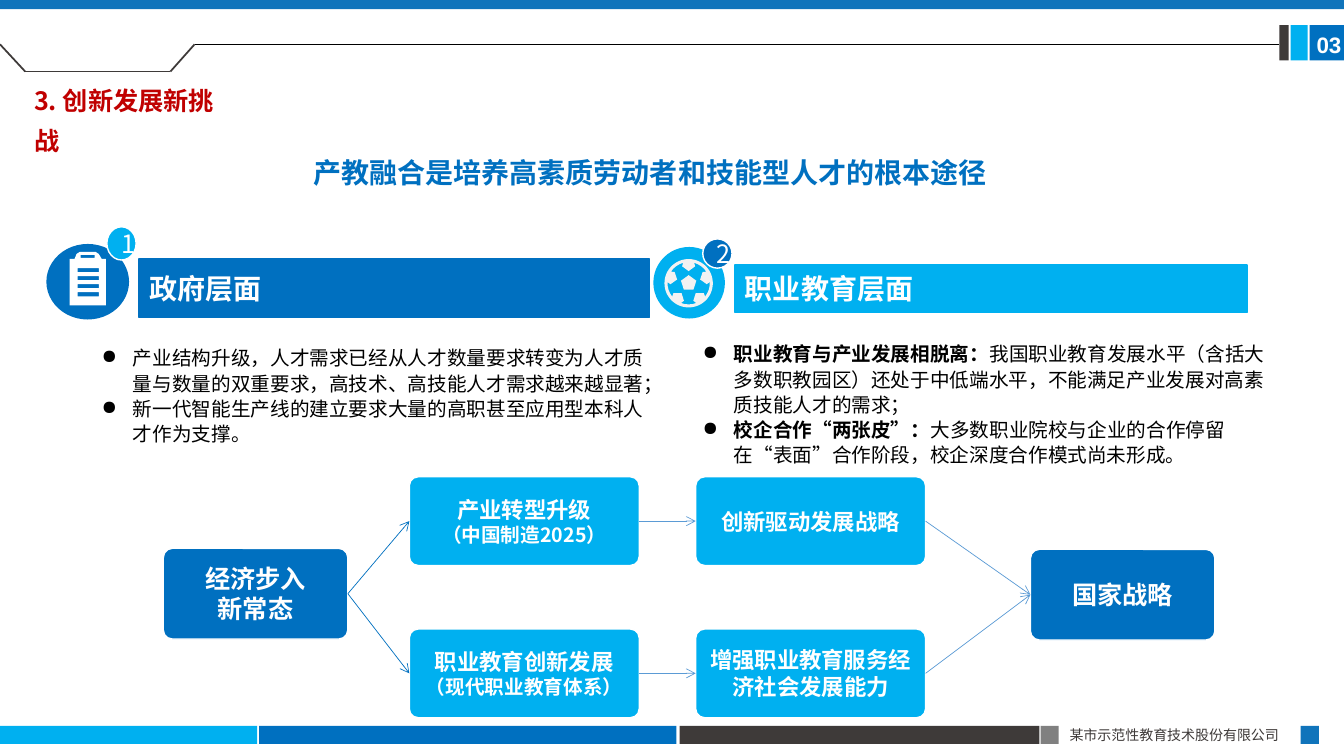
from math import cos, radians, sin

from lxml import etree
from pptx import Presentation
from pptx.dml.color import RGBColor
from pptx.enum.lang import MSO_LANGUAGE_ID
from pptx.enum.shapes import MSO_CONNECTOR, MSO_SHAPE
from pptx.enum.text import MSO_ANCHOR, PP_ALIGN
from pptx.oxml.ns import qn
from pptx.util import Inches, Pt

RECT, OVAL, ROUND = MSO_SHAPE.RECTANGLE, MSO_SHAPE.OVAL, MSO_SHAPE.ROUNDED_RECTANGLE
LEFT, CENTER, JUST = PP_ALIGN.LEFT, PP_ALIGN.CENTER, PP_ALIGN.JUSTIFY
TOP, MIDDLE = MSO_ANCHOR.TOP, MSO_ANCHOR.MIDDLE
CHINESE = MSO_LANGUAGE_ID.SIMPLIFIED_CHINESE
SANS = "Noto Sans CJK SC"
HEX = {"blue": "0070C0", "sky": "00B0F0", "bar": "1074BB", "dark": "3E3A39",
       "gray": "808080", "white": "FFFFFF", "black": "000000", "red": "C00000",
       "pale": "F2F2F2", "arrow": "5B9BD5"}

# Plain bars: left, top, width, height, fill
BARS = [
    (0, 7.2, 2.55, 0.18, "sky"), (2.57, 7.2, 4.14, 0.18, "blue"),
    (6.74, 7.2, 3.57, 0.18, "dark"), (10.32, 7.2, 0.18, 0.18, "gray"),
    (12.9, 7.2, 0.18, 0.18, "bar"), (12.99, 0.25, 0.35, 0.35, "blue"),
    (12.8, 0.25, 0.17, 0.35, "sky"), (12.69, 0.25, 0.09, 0.35, "dark"),
    (0, 0, 13.33, 0.09, "bar"),
]
NOTCH = [(0, 0.44), (0.25, 0.71), (1.69, 0.71), (1.93, 0.44)]

# Text runs are (text, size, bold); a paragraph is a list of runs
# Labels: box, paragraphs, colour, font, alignment, line spacing, wrap
LABELS = [
    ((10.51, 7.16, 2.4, 0.27), [[("某市示范性教育技术股份有限公司", 10, False)]],
     "dark", SANS, JUST, None, True),
    ((12.96, 0.26, 0.5, 0.37), [[("03", 16, True)]],
     "white", "Arial", LEFT, None, True),
    ((0.24, 0.71, 2.2, 0.49), [[("3. 创新发展新挑战", 18, True)]],
     "red", SANS, LEFT, 1.3, True),
    ((3.01, 1.49, 6.93, 0.44),
     [[("产教融合是培养高素质劳动者和技能型人才的根本途径", 20, True)]],
     "blue", SANS, LEFT, None, False),
]
BULLETS = [
    ((0.91, 3.37, 5.62, 1.11), [
        [("产业结构升级，人才需求已经从人才数量要求转变为人才质量与数量的双重要求，"
          "高技术、高技能人才需求越来越显著；", 14, False)],
        [("新一代智能生产线的建立要求大量的高职甚至应用型本科人才作为支撑。", 14, False)]]),
    ((6.87, 3.33, 5.82, 1.36), [
        [("职业教育与产业发展相脱离：", 14, True),
         ("我国职业教育发展水平（含括大多数职教园区）还处于中低端水平，"
          "不能满足产业发展对高素质技能人才的需求；", 14, False)],
        [("校企合作“两张皮”：", 14, True),
         ("大多数职业院校与企业的合作停留在“表面”合作阶段，"
          "校企深度合作模式尚未形成。", 14, False)]]),
]
# Headers: title, banner box, disc box, number, badge box, main fill, badge fill
HEADERS = [
    ("政府层面", (1.38, 2.57, 5.06, 0.58), (0.46, 2.42, 0.82, 0.75),
     "1", (1.06, 2.25, 0.29, 0.33), "blue", "sky"),
    ("职业教育层面", (7.29, 2.63, 5.08, 0.47), (6.48, 2.45, 0.71, 0.71),
     "2", (6.97, 2.37, 0.29, 0.29), "sky", "blue"),
]
BOARD = [(0.69, 2.57), (0.74, 2.57), (0.76, 2.52), (0.79, 2.5), (0.95, 2.5),
         (0.98, 2.52), (1.01, 2.57), (1.05, 2.57), (1.05, 3.03), (0.69, 3.03)]
SLOTS = [(0.8, 2.53, 0.14, 0.03)] + [(0.77, 2.66 + 0.08 * i, 0.21, 0.04) for i in range(4)]
BALL = (6.83, 2.81)
# One fifth of the ball's inner edge: angle, radius
SEAM = [(-15, 0.21), (-21, 0.18), (0, 0.12), (21, 0.18), (15, 0.21),
        (25, 0.21), (36, 0.21), (47, 0.21)]

BIG, MID = (1.83, 0.9), (2.28, 0.88)
NODES = {
    "start": ((1.62, 5.44), BIG, "blue",
              [[("经济步入", 18, True)], [("新常态", 18, True)]]),
    "shift": ((4.06, 4.73), MID, "sky",
              [[("产业转型升级", 16, True)], [("（中国制造2025）", 14, True)]]),
    "teach": ((4.06, 6.24), MID, "sky",
              [[("职业教育创新发展", 16, True), ("（现代职业教育体系）", 14, True)]]),
    "drive": ((6.9, 4.73), MID, "sky", [[("创新驱动发展战略", 16, True)]]),
    "serve": ((6.9, 6.24), MID, "sky", [[("增强职业教育服务经济社会发展能力", 16, True)]]),
    "goal": ((10.22, 5.45), BIG, "blue", [[("国家战略", 18, True)]]),
}
LINKS = [("start", "shift", "blue"), ("start", "teach", "blue"),
         ("shift", "drive", "arrow"), ("teach", "serve", "arrow"),
         ("drive", "goal", "arrow"), ("serve", "goal", "arrow")]

deck = Presentation()
deck.slide_width, deck.slide_height = Inches(13.33), Inches(7.5)
slide = deck.slides.add_slide(deck.slide_layouts[6])
shapes = slide.shapes


def tint(name):
    return RGBColor.from_string(HEX[name])


def paint(shape, fill, edge=None):
    shape.shadow.inherit = False
    shape.fill.solid()
    shape.fill.fore_color.rgb = tint(fill)
    if edge:
        shape.line.color.rgb = tint(edge)
        shape.line.width = Pt(1)
    else:
        shape.line.fill.background()


def block(kind, box, fill, edge=None):
    shape = shapes.add_shape(kind, *map(Inches, box))
    paint(shape, fill, edge)
    return shape


def write(shape, paras, color, font=SANS, align=LEFT, anchor=MIDDLE,
          space=None, wrap=True, bullet=False):
    frame = shape.text_frame
    frame.word_wrap, frame.vertical_anchor = wrap, anchor
    for i, runs in enumerate(paras):
        para = frame.add_paragraph() if i else frame.paragraphs[0]
        para.alignment = align
        if space:
            para.line_spacing = space
        if bullet:
            props = para._p.get_or_add_pPr()
            props.set("marL", str(Inches(0.31)))
            props.set("indent", str(-Inches(0.31)))
            etree.SubElement(props, qn("a:buChar")).set("char", "●")
        for text, size, bold in runs:
            run = para.add_run()
            run.text = text
            look = run.font
            look.size, look.bold, look.name = Pt(size), bold, font
            look.color.rgb = tint(color)
            look.language_id = CHINESE
            east = etree.SubElement(run._r.get_or_add_rPr(), qn("a:ea"))
            east.set("typeface", font)


def label(box, *args, **more):
    write(shapes.add_textbox(*map(Inches, box)), *args, anchor=TOP, **more)


def line(start, end, color, width):
    link = shapes.add_connector(MSO_CONNECTOR.STRAIGHT, *map(Inches, start + end))
    link.line.color.rgb = tint(color)
    link.line.width = Pt(width)
    etree.SubElement(link._element.spPr, qn("a:effectLst"))
    return link


def outline(loops, fill):
    """Draw closed loops as one shape; inner loops are holes."""
    loops = [[(Inches(x), Inches(y)) for x, y in loop] for loop in loops]
    pen = shapes.build_freeform(*loops[0][0])
    for i, loop in enumerate(loops):
        if i:
            pen.move_to(*loop[0])
        pen.add_line_segments(loop[1:], close=True)
    paint(pen.convert_to_shape(), fill)


def polar(angle, radius):
    """Point around the ball's centre, clockwise from the top."""
    turn = radians(angle)
    return BALL[0] + radius * sin(turn), BALL[1] - radius * cos(turn)


for *box, fill in BARS:
    block(RECT, box, fill)
for start, end in zip(NOTCH, NOTCH[1:]):
    line(start, end, "dark", 1.25)
line(NOTCH[-1], (12.69, 0.44), "black", 0.5)

for box, paras, color, font, align, space, wrap in LABELS:
    label(box, paras, color, font, align, space=space, wrap=wrap)
for box, paras in BULLETS:
    label(box, paras, "black", space=Pt(18), bullet=True)

for title, banner, disc, number, badge, main, accent in HEADERS:
    write(block(RECT, banner, main, main), [[(title, 20, True)]], "white")
    block(OVAL, disc, main)
    write(block(OVAL, badge, accent, "white"), [[(number, 18, False)]], "white", align=CENTER)

slots = [[(x, y), (x + w, y), (x + w, y + h), (x, y + h)] for x, y, w, h in SLOTS]
outline([BOARD] + slots, "white")
rim = [polar(a, 0.24) for a in range(0, 360, 6)]
seam = [polar(72 * i + a, r) for i in range(5) for a, r in SEAM]
outline([rim, seam], "pale")
outline([[polar(72 * i, 0.08) for i in range(5)]], "pale")

nodes = {}
for name, (spot, size, fill, paras) in NODES.items():
    nodes[name] = block(ROUND, spot + size, fill, "white")
    nodes[name].adjustments[0] = 0.1
    write(nodes[name], paras, "white", align=CENTER)
for tail, head, color in LINKS:
    link = line((0, 0), (1, 1), color, 0.5)
    link.begin_connect(nodes[tail], 3)
    link.end_connect(nodes[head], 1)
    etree.SubElement(link.line._get_or_add_ln(), qn("a:tailEnd")).set("type", "arrow")

deck.save("out.pptx")
